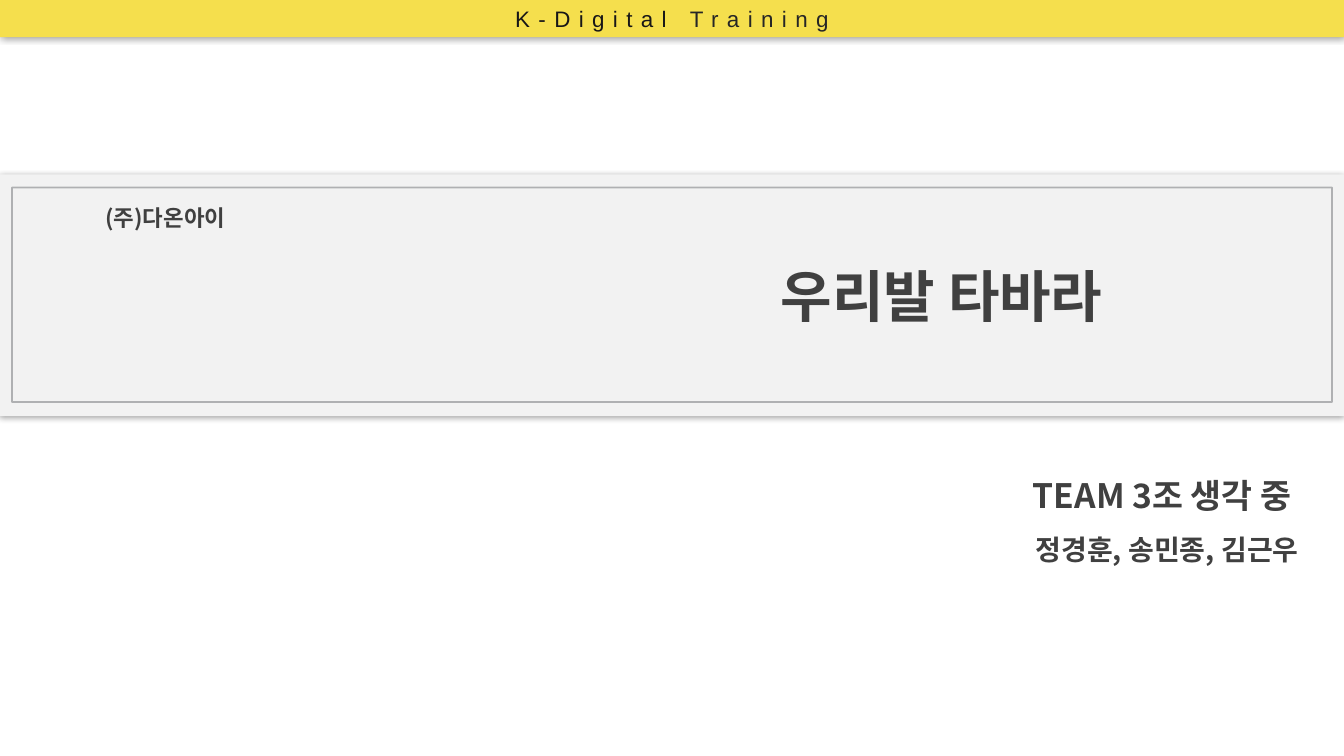
from dataclasses import dataclass

from lxml import etree
from pptx import Presentation
from pptx.dml.color import RGBColor
from pptx.enum.shapes import MSO_SHAPE
from pptx.enum.text import MSO_ANCHOR, MSO_AUTO_SIZE, PP_ALIGN
from pptx.oxml.ns import qn
from pptx.util import Inches, Pt

RECT = MSO_SHAPE.RECTANGLE
MIDDLE = MSO_ANCHOR.MIDDLE
NO_FIT = MSO_AUTO_SIZE.NONE
CENTER, RIGHT = PP_ALIGN.CENTER, PP_ALIGN.RIGHT
TITLE_ONLY = 5
SLIDE_W, SLIDE_H = 13.33, 7.5


@dataclass(frozen=True)
class Theme:
    yellow: str = "F5DF4D"
    panel: str = "F2F2F2"
    frame: str = "939597"
    text: str = "404040"
    black: str = "181717"
    dark: str = "262626"
    korean: str = "Noto Sans CJK KR"
    latin: str = "Arial"
    title: int = 40
    team: int = 24
    members: int = 20
    small: int = 16


def set_alpha(color, percent):
    etree.SubElement(color, qn("a:alpha"), val=str(percent * 1000))


def add_run(p, text, *, size, color, font, bold=False, spacing=0):
    r = p.add_run()
    r.text = text
    r.font.size, r.font.bold, r.font.name = Pt(size), bold, font
    r.font.color.rgb = RGBColor.from_string(color)
    props = r.font._element
    etree.SubElement(props, qn("a:ea"), typeface=font)
    if spacing:
        props.set("spc", str(spacing * 100))


class SlideBuilder:
    def __init__(self, slide, theme):
        self.slide, self.theme = slide, theme

    def rect(self, left, top, width, height, fill=None):
        sp = self.slide.shapes.add_shape(
            RECT, Inches(left), Inches(top), Inches(width), Inches(height))
        sp.shadow.inherit = False
        sp.line.fill.background()
        if fill:
            sp.fill.solid()
            sp.fill.fore_color.rgb = RGBColor.from_string(fill)
        else:
            sp.fill.background()
        return sp

    def band(self, top, height, fill):
        """Full-width bar with a soft shadow."""
        sp = self.rect(0, top, SLIDE_W, height, fill)
        effects = sp._element.spPr.find(qn("a:effectLst"))
        shadow = etree.SubElement(effects, qn("a:outerShdw"),
                                  blurRad=str(Pt(5)), dist="0", dir="0")
        set_alpha(etree.SubElement(shadow, qn("a:srgbClr"), val="000000"), 40)
        return sp

    def frame(self, left, top, width, height):
        sp = self.rect(left, top, width, height)
        sp.line.width = Pt(1.25)
        sp.line.color.rgb = RGBColor.from_string(self.theme.frame)
        set_alpha(next(sp.line._ln.iter(qn("a:srgbClr"))), 70)

    def lines(self, sp, lines, align=CENTER, spacing=1.0, inset=0.0):
        """Bold Korean paragraphs, given as (text, size) pairs."""
        tf = sp.text_frame
        tf.word_wrap, tf.auto_size, tf.vertical_anchor = True, NO_FIT, MIDDLE
        tf.margin_top = tf.margin_bottom = Inches(inset)
        for i, (text, size) in enumerate(lines):
            p = tf.add_paragraph() if i else tf.paragraphs[0]
            p.alignment, p.line_spacing = align, spacing
            add_run(p, text, size=size, color=self.theme.text,
                    font=self.theme.korean, bold=True)

    def text(self, left, top, width, height, lines, **layout):
        sp = self.slide.shapes.add_textbox(
            Inches(left), Inches(top), Inches(width), Inches(height))
        self.lines(sp, lines, **layout)

    def title(self, left, top, width, height, text):
        sp = self.slide.shapes.title
        sp.left, sp.top = Inches(left), Inches(top)
        sp.width, sp.height = Inches(width), Inches(height)
        self.lines(sp, [(text, self.theme.title)])
        self.slide.shapes._spTree.append(sp._element)  # bring to front

    def header(self, height, parts):
        sp = self.band(0, height, self.theme.yellow)
        sp.text_frame.vertical_anchor = MIDDLE
        p = sp.text_frame.paragraphs[0]
        p.alignment = CENTER
        for text, color in parts:
            add_run(p, text, size=self.theme.small, color=color,
                    font=self.theme.latin, spacing=6)


def main():
    prs = Presentation()
    prs.slide_width, prs.slide_height = Inches(SLIDE_W), Inches(SLIDE_H)
    theme = Theme()
    s = SlideBuilder(prs.slides.add_slide(prs.slide_layouts[TITLE_ONLY]), theme)
    s.text(7.34, 4.54, 5.64, 1.05,
           [("TEAM 3조 생각 중\u00a0".replace("\u00a0", " "), theme.team),
            ("정경훈, 송민종, 김근우", theme.members)],
           align=RIGHT, spacing=1.5)
    s.band(1.73, 2.4, theme.panel)
    s.text(0.2, 1.97, 2.88, 0.37, [("(주)다온아이", theme.small)], inset=0.05)
    s.title(5.64, 2.59, 7.4, 0.67, "우리발 타바라")
    s.header(0.37, [("K-Digital ", theme.black), ("Training", theme.dark)])
    s.frame(0.12, 1.86, 13.09, 2.13)
    prs.save("out.pptx")


if __name__ == "__main__":
    main()
